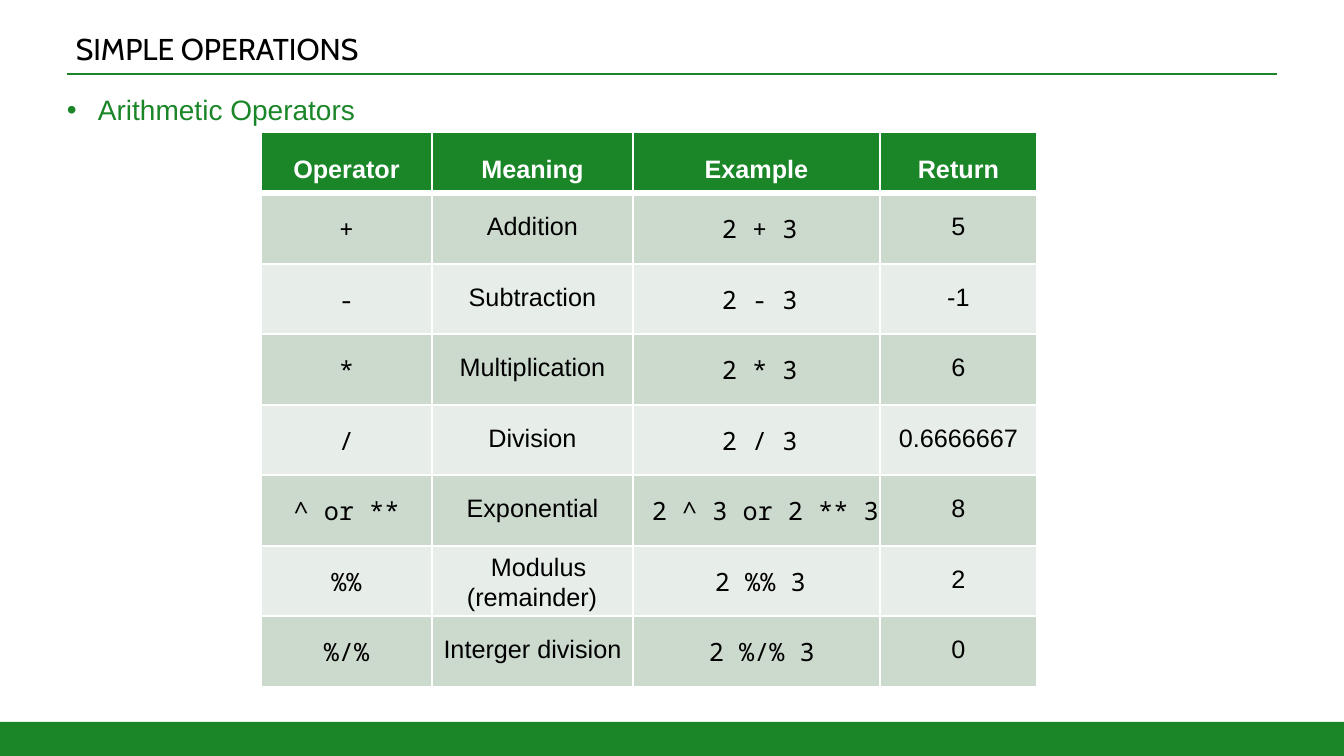
from lxml import etree
from pptx import Presentation
from pptx.dml.color import RGBColor
from pptx.enum.shapes import MSO_CONNECTOR, MSO_SHAPE
from pptx.enum.text import MSO_ANCHOR, PP_ALIGN
from pptx.oxml.ns import qn
from pptx.util import Pt

LEFT, CENTER = PP_ALIGN.LEFT, PP_ALIGN.CENTER
TOP = MSO_ANCHOR.TOP
RECTANGLE = MSO_SHAPE.RECTANGLE
STRAIGHT = MSO_CONNECTOR.STRAIGHT

PAGE_WIDTH, PAGE_HEIGHT = 1344, 756
GREEN, WHITE, BLACK = "1A8628", "FFFFFF", "000000"
BANDS = ["CCD9CD", "E7EDE8"]

TITLE = {"name": "Cabin", "size": Pt(21.5), "color": BLACK}
BODY = {"name": "Arial", "size": Pt(20), "color": GREEN}
HEADER = {"name": "Arial", "size": Pt(18), "color": WHITE, "bold": True}
CELL = {"name": "Arial", "size": Pt(18), "color": BLACK, "bold": False}
CODE = {**CELL, "name": "Noto Sans Mono"}

HEADERS = ["Operator", "Meaning", "Example", "Return"]
# operator, meaning, example, left inset of the example, returned value
OPERATORS = [
    ("+", "Addition", "2 + 3", 89, "5"),
    ("-", "Subtraction", "2 - 3", 89, "-1"),
    ("*", "Multiplication", "2 * 3", 89, "6"),
    ("/", "Division", "2 / 3", 89, "0.6666667"),
    ("^ or **", "Exponential", "2 ^ 3 or 2 ** 3", 19, "8"),
    ("%%", "Modulus (remainder)", "2 %% 3", 82, "2"),
    ("%/%", "Interger division", "2 %/% 3", 76, "0"),
]
COLUMN_WIDTHS = [171, 201, 247, 157]
HEADER_HEIGHT, BODY_HEIGHT = 61, 494


def px(length):
    return round(length * 12192000 / PAGE_WIDTH)


def rgb(value):
    return RGBColor.from_string(value)


class Page:
    def __init__(self, deck):
        self.slide = deck.slides.add_slide(deck.slide_layouts[6])
        self.shapes = self.slide.shapes

    def bar(self, left, top, width, height, color):
        shape = self.shapes.add_shape(RECTANGLE, px(left), px(top), px(width), px(height))
        shape.shadow.inherit = False
        shape.fill.solid()
        shape.fill.fore_color.rgb = rgb(color)
        shape.line.fill.background()

    def rule(self, left, top, right, color, weight):
        line = self.shapes.add_connector(STRAIGHT, px(left), px(top), px(right), px(top))
        line.line.color.rgb = rgb(color)
        line.line.width = Pt(weight)
        etree.SubElement(line._element.spPr, qn("a:effectLst"))

    def add_span(self, para, text, style, align=LEFT):
        para.alignment = align
        span = para.add_run()
        span.text = text
        for key, value in style.items():
            if key == "color":
                span.font.color.rgb = rgb(value)
            else:
                setattr(span.font, key, value)

    def indent(self, para, left, first):
        properties = para._p.get_or_add_pPr()
        properties.set("marL", str(px(left)))
        properties.set("indent", str(px(first)))
        return properties

    def text(self, left, top, width, height, text, style, bullet=None):
        box = self.shapes.add_textbox(px(left), px(top), px(width), px(height))
        frame = box.text_frame
        layout = {"word_wrap": True, "vertical_anchor": TOP, "margin_left": 0,
                  "margin_top": 0, "margin_right": 0, "margin_bottom": 0}
        for key, value in layout.items():
            setattr(frame, key, value)
        para = frame.paragraphs[0]
        if bullet:
            properties = self.indent(para, 31, -31)
            etree.SubElement(properties, qn("a:buFont"), typeface="Arial")
            etree.SubElement(properties, qn("a:buChar"), char=bullet)
        self.add_span(para, text, style)

    def table(self, left, top, widths, heights):
        frame = self.shapes.add_table(len(heights), len(widths), px(left), px(top),
                                      px(sum(widths)), px(sum(heights)))
        table = frame.table
        table.horz_banding = False
        for column, width in zip(table.columns, widths):
            column.width = px(width)
        for row, height in zip(table.rows, heights):
            row.height = px(height)
        return table

    def cell(self, cell, text, style, fill, top, left=0, align=CENTER, **borders):
        layout = {"vertical_anchor": TOP, "margin_left": px(left), "margin_top": px(top),
                  "margin_right": 0, "margin_bottom": 0}
        for key, value in layout.items():
            setattr(cell, key, value)
        # Borders come before the fill in the cell properties
        properties = cell._tc.get_or_add_tcPr()
        for side in "LRTB":
            weight = Pt(borders.get(side, 1.5))
            edge = etree.SubElement(properties, qn(f"a:ln{side}"), w=str(weight))
            paint = etree.SubElement(edge, qn("a:solidFill"))
            etree.SubElement(paint, qn("a:srgbClr"), val=WHITE)
        cell.fill.solid()
        cell.fill.fore_color.rgb = rgb(fill)
        para = cell.text_frame.paragraphs[0]
        self.add_span(para, text, style, align)
        return para


def main():
    deck = Presentation()
    deck.slide_width, deck.slide_height = px(PAGE_WIDTH), px(PAGE_HEIGHT)
    page = Page(deck)

    # Footer band, title and rule
    page.bar(0, 722, PAGE_WIDTH, 34, GREEN)
    page.rule(67, 74, 1277, GREEN, 1.5)
    page.text(76, 30, 791, 36, "SIMPLE OPERATIONS", TITLE)
    page.text(67, 93, 1210, 34, "Arithmetic Operators", BODY, bullet="•")

    # Operator table, with the body height shared evenly among the rows
    count = len(OPERATORS)
    edges = [round(BODY_HEIGHT * i / count) for i in range(count + 1)]
    heights = [HEADER_HEIGHT] + [end - start for start, end in zip(edges, edges[1:])]
    table = page.table(261, 132, COLUMN_WIDTHS, heights)

    for column, heading in enumerate(HEADERS):
        page.cell(table.cell(0, column), heading, HEADER, GREEN, 24, B=4.5)

    for row, (operator, meaning, example, inset, value) in enumerate(OPERATORS, 1):
        fill = BANDS[(row - 1) % 2]
        upper = {"T": 4.5 if row == 1 else 1.5}
        cells = [table.cell(row, column) for column in range(len(HEADERS))]
        page.cell(cells[0], operator, CODE, fill, 19, **upper)
        if "(" in meaning:
            # The two-line meaning has a first-line indent
            para = page.cell(cells[1], meaning, CELL, fill, 7, align=LEFT, **upper)
            page.indent(para, 35, 24)
            para.line_spacing = Pt(20.9)
        else:
            page.cell(cells[1], meaning, CELL, fill, 20, **upper)
        page.cell(cells[2], example, CODE, fill, 19, left=inset, align=LEFT, **upper)
        page.cell(cells[3], value, CELL, fill, 20, **upper)

    deck.save("out.pptx")


if __name__ == "__main__":
    main()
